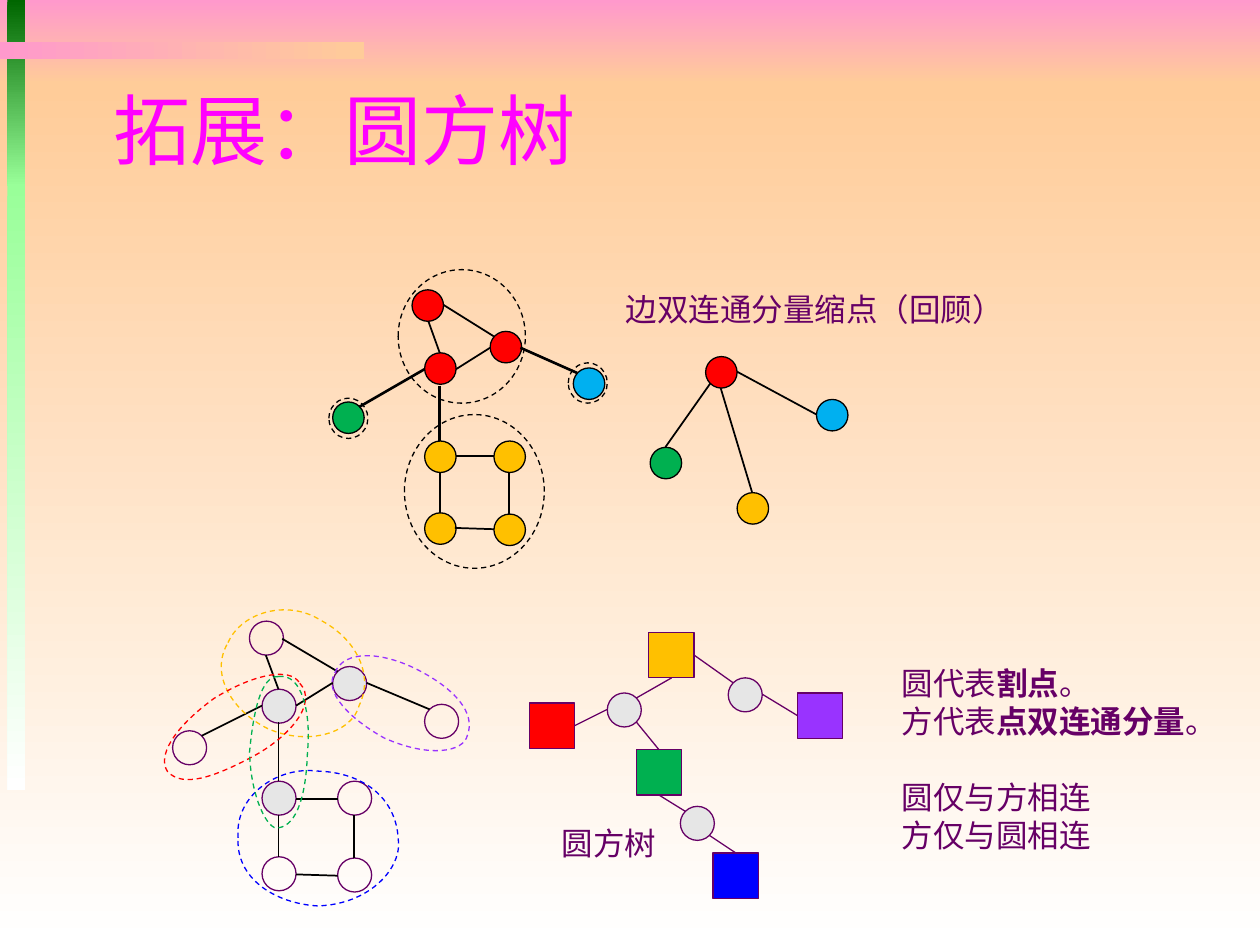
"""Build a slide on block-cut trees with three node-and-edge diagrams."""
import math

from lxml import etree
from pptx import Presentation
from pptx.dml.color import RGBColor
from pptx.enum.dml import MSO_LINE
from pptx.enum.shapes import MSO_CONNECTOR, MSO_SHAPE
from pptx.enum.text import MSO_ANCHOR, MSO_AUTO_SIZE
from pptx.oxml.ns import qn
from pptx.util import Pt

RECTANGLE, OVAL = MSO_SHAPE.RECTANGLE, MSO_SHAPE.OVAL
STRAIGHT, DASH = MSO_CONNECTOR.STRAIGHT, MSO_LINE.DASH
MIDDLE, FIT_TEXT = MSO_ANCHOR.MIDDLE, MSO_AUTO_SIZE.SHAPE_TO_FIT_TEXT
PX = 9144
COLORS = {
    "pink": "FF99CC", "peach": "FFCC99", "white": "FFFFFF", "forest": "006600",
    "mint": "99FF99", "magenta": "FF00FF", "plum": "660066", "black": "000000",
    "red": "FF0000", "gold": "FFC000", "green": "00B050", "sky": "00B0F0",
    "gray": "E6E6E6", "violet": "9933FF", "blue": "0000FF",
}
RGB = {name: RGBColor.from_string(value) for name, value in COLORS.items()}


def style(shape, fill, line, dash=None):
    shape.shadow.inherit = False
    if fill:
        shape.fill.solid()
        shape.fill.fore_color.rgb = RGB[fill]
    else:
        shape.fill.background()
    shape.line.color.rgb = RGB[line]
    for name, value in {"width": Pt(0.75), "dash_style": dash}.items():
        setattr(shape.line, name, value)


def write(shapes, box, paragraphs, size=18, font_name="Arial", color="plum", **frame_format):
    frame = shapes.add_textbox(*[value * PX for value in box]).text_frame
    for name, value in frame_format.items():
        setattr(frame, name, value)
    for index, (space_before, runs) in enumerate(paragraphs):
        paragraph = frame.add_paragraph() if index else frame.paragraphs[0]
        paragraph.space_before = Pt(space_before)
        for text, bold in runs:
            run = paragraph.add_run()
            run.text = text
            run.font.color.rgb = RGB[color]
            for name, value in {"size": Pt(size), "name": font_name, "bold": bold}.items():
                setattr(run.font, name, value)


presentation = Presentation()
presentation.slide_width, presentation.slide_height = 1000 * PX, 750 * PX
slide = presentation.slides.add_slide(presentation.slide_layouts[6])

bands = [
    ((0, 0, 1000, 67), "pink", "peach", 270),
    ((0, 67, 1000, 683), "peach", "white", 270),
    ((6, 0, 14, 148), "forest", "mint", 270),
    ((6, 146, 14, 481), "mint", "white", 270),
    ((0, 33, 289, 14), "pink", "peach", 0),
]
for box, first, last, angle in bands:
    band = slide.shapes.add_shape(RECTANGLE, *[value * PX for value in box])
    band.shadow.inherit = False
    band.line.fill.background()
    band.fill.gradient()
    band.fill.gradient_angle = angle
    for stop, color in zip(band.fill.gradient_stops, (first, last)):
        stop.color.rgb = RGB[color]

write(slide.shapes, (80, 57, 850, 90), [(0, [("拓展：圆方树", False)])], 44,
      "Roboto Condensed", "magenta", word_wrap=True, vertical_anchor=MIDDLE)

edge_components = {
    "outline": "black", "edge": ("black", 1), "diameter": 25, "squares": [],
    "circles": [
        (327, 230, "red"), (389, 263, "red"), (337, 280, "red"),
        (337, 350, "gold"), (392, 350, "gold"), (337, 407, "gold"), (392, 408, "gold"),
        (264, 319, "green"), (455, 292, "sky"),
        (560, 283, "red"), (516, 355, "green"), (585, 391, "gold"), (648, 317, "sky"),
    ],
    "edges": [
        (340, 255, 349, 280), (352, 242, 392, 267), (389, 276, 362, 293),
        (362, 362, 392, 362), (349, 407, 349, 375), (404, 375, 404, 408),
        (392, 420, 361, 419), (528, 355, 564, 304), (572, 308, 597, 391),
        (585, 295, 648, 329),
    ],
    "bridges": [(285, 323, 337, 293), (349, 306, 349, 350), (413, 276, 458, 296)],
    "ovals": [(316, 214, 101, 106), (321, 329, 111, 122),
              (261, 316, 31, 32), (451, 288, 31, 32)],
    "loops": [],
}
vertex_components = {
    "outline": "plum", "edge": ("black", 1), "diameter": 27, "squares": [],
    "circles": [
        (198, 493, None), (264, 529, "gray"), (208, 547, "gray"), (208, 620, "gray"),
        (268, 620, None), (208, 680, None), (268, 681, None), (137, 580, None),
        (337, 559, None),
    ],
    "edges": [
        (211, 520, 221, 547), (224, 507, 268, 533), (264, 542, 235, 560),
        (160, 584, 208, 560), (221, 573, 221, 620), (235, 634, 268, 634),
        (221, 680, 221, 647), (281, 647, 281, 681), (268, 695, 235, 694),
        (291, 542, 341, 563),
    ],
    "bridges": [], "ovals": [],
    "loops": [
        ("violet", 25.7, (318, 559), [
            (266, 534), (273, 516), (303, 517), (332, 532), (361, 547), (378, 566), (371, 584),
            (368, 597), (341, 602), (305, 586), (278, 571), (256, 549), (266, 534)]),
        ("gold", 25.7, (233, 535), [
            (181, 510), (192, 485), (229, 476), (254, 492), (283, 507), (297, 536), (285, 560),
            (280, 581), (245, 593), (212, 578), (184, 564), (166, 535), (181, 510)]),
        ("blue", 0, (252, 665), [
            (189, 665), (186, 631), (221, 608), (252, 612), (288, 613), (314, 633), (316, 665),
            (320, 689), (293, 718), (252, 719), (218, 717), (187, 697), (189, 665)]),
        ("red", 146.3, (185, 577), [
            (237, 542), (252, 558), (228, 585), (200, 600), (168, 617), (144, 625), (132, 612),
            (124, 600), (136, 578), (169, 554), (198, 536), (229, 528), (237, 542)]),
        ("green", 90, (221, 596), [
            (220, 536), (239, 533), (246, 566), (243, 596), (242, 629), (235, 654), (220, 656),
            (212, 659), (198, 633), (197, 596), (200, 564), (206, 535), (220, 536)]),
    ],
}
block_cut_tree = {
    "outline": "plum", "edge": ("plum", 0.75), "diameter": 27,
    "squares": [(515, 502, "gold"), (633, 550, "violet"), (420, 558, "red"),
                (505, 595, "green"), (566, 677, "blue")],
    "circles": [(482, 550, "gray"), (578, 538, "gray"), (540, 640, "gray")],
    "edges": [
        (456, 576, 482, 563), (505, 554, 533, 538), (551, 520, 582, 542),
        (605, 551, 633, 568), (505, 573, 522, 595), (522, 631, 544, 644),
        (563, 663, 584, 677),
    ],
    "bridges": [], "ovals": [], "loops": [],
}

for graph in (edge_components, vertex_components, block_cut_tree):
    group = slide.shapes.add_group_shape()
    sites = []
    for left, top, color in graph["squares"]:
        square = group.shapes.add_shape(RECTANGLE, left * PX, top * PX, 36 * PX, 36 * PX)
        style(square, color, graph["outline"])
        middles = [(18, 0), (0, 18), (18, 36), (36, 18)]
        sites += [(left + x, top + y, square, side) for side, (x, y) in enumerate(middles)]
    diameter = graph["diameter"] * PX
    for left, top, color in graph["circles"]:
        circle = group.shapes.add_shape(OVAL, left * PX, top * PX, diameter, diameter)
        style(circle, color, graph["outline"])

    color, width = graph["edge"]
    weighted = [(edge, width) for edge in graph["edges"]]
    weighted += [(edge, 1.5) for edge in graph["bridges"]]
    for edge, weight in weighted:
        connector = group.shapes.add_connector(STRAIGHT, *[value * PX for value in edge])
        connector.line.color.rgb = RGB[color]
        connector.line.width = Pt(weight)
        etree.SubElement(connector.element.spPr, qn("a:effectLst"))
        for x, y, square, side in sites:
            if math.dist((x, y), edge[:2]) < 2:
                connector.begin_connect(square, side)
            if math.dist((x, y), edge[2:]) < 2:
                connector.end_connect(square, side)

    for box in graph["ovals"]:
        style(group.shapes.add_shape(OVAL, *[value * PX for value in box]), None, "black", DASH)
    for color, angle, (center_x, center_y), knots in graph["loops"]:
        cosine, sine = math.cos(math.radians(angle)), math.sin(math.radians(angle))
        level = [(round(((x - center_x) * cosine + (y - center_y) * sine + center_x) * PX),
                  round(((y - center_y) * cosine - (x - center_x) * sine + center_y) * PX))
                 for x, y in knots]
        builder = group.shapes.build_freeform(*level[0])
        builder.add_line_segments(level[3::3], close=True)
        loop = builder.convert_to_shape()
        for index, segment in enumerate(list(loop.element.iter(qn("a:lnTo")))):
            segment.tag = qn("a:cubicBezTo")
            for place, (x, y) in enumerate(level[3 * index + 1:3 * index + 3]):
                control = etree.Element(qn("a:pt"), x=str(x - loop.left), y=str(y - loop.top))
                segment.insert(place, control)
        loop.rotation = angle
        style(loop, None, color, DASH)

write(group.shapes, (436, 649, 96, 40), [(0, [("圆方树", False)])],
      word_wrap=False, auto_size=FIT_TEXT)
write(slide.shapes, (706, 522, 273, 162), [
    (0, [("圆代表", False), ("割点", True), ("。", False)]),
    (0, [("方代表", False), ("点双连通分量", True), ("。", False)]),
    (22, [("圆仅与方相连", False)]),
    (0, [("方仅与圆相连", False)]),
], word_wrap=False, auto_size=FIT_TEXT)
write(slide.shapes, (487, 225, 500, 40), [(0, [("边双连通分量缩点（回顾）", False)])],
      word_wrap=True, auto_size=FIT_TEXT)

presentation.save("out.pptx")
